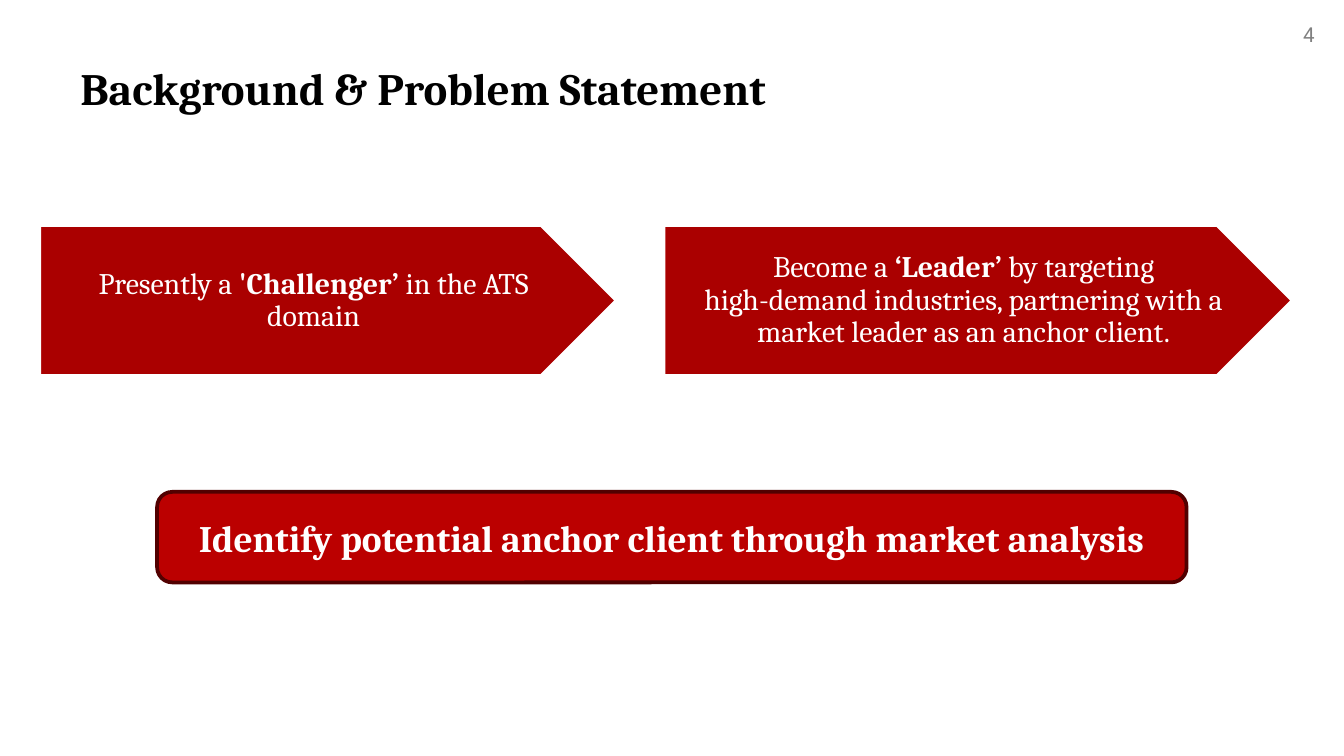
import pptx
import pptx.dml.color
import pptx.enum.shapes
import pptx.enum.text
import pptx.util

Pt = pptx.util.Pt
RGBColor = pptx.dml.color.RGBColor
MSO_SHAPE = pptx.enum.shapes.MSO_SHAPE
MSO_ANCHOR = pptx.enum.text.MSO_ANCHOR
PP_ALIGN = pptx.enum.text.PP_ALIGN

BLACK = RGBColor(0x00, 0x00, 0x00)
WHITE = RGBColor(0xFF, 0xFF, 0xFF)
GRAY = RGBColor(0x80, 0x80, 0x80)
ARROW_RED = RGBColor(0xAA, 0x00, 0x00)
GOAL_RED = RGBColor(0xBB, 0x00, 0x00)
GOAL_BORDER = RGBColor(0x52, 0x00, 0x00)

SERIF = "Cambria"
SANS = "Roboto"
LINE_BREAK = "\n"


def style_paragraph(paragraph, font_name, size, color, align, bold=None):
    paragraph.alignment = align
    paragraph.font.name = font_name
    paragraph.font.size = Pt(size)
    paragraph.font.color.rgb = color
    paragraph.font.bold = bold


def add_label(slide, box, text, font_name, size, color, align, bold=False):
    label = slide.shapes.add_textbox(*map(Pt, box))
    frame = label.text_frame
    frame.word_wrap = True
    frame.text = text
    style_paragraph(frame.paragraphs[0], font_name, size, color, align, bold)


def add_panel(slide, preset, box, fill, border):
    panel = slide.shapes.add_shape(preset, *map(Pt, box))
    panel.shadow.inherit = False
    panel.fill.solid()
    panel.fill.fore_color.rgb = fill
    panel.line.color.rgb = border
    panel.line.width = Pt(2)
    frame = panel.text_frame
    frame.word_wrap = True
    frame.vertical_anchor = MSO_ANCHOR.MIDDLE
    return frame


def add_stage_arrow(slide, left, width, phrases):
    frame = add_panel(slide, MSO_SHAPE.PENTAGON, (left, 120.5, width, 81), ARROW_RED, WHITE)
    frame.margin_left = Pt(6.4)
    frame.margin_right = Pt(1.6)
    stage = frame.paragraphs[0]
    style_paragraph(stage, SERIF, 16, WHITE, PP_ALIGN.CENTER)
    stage.line_spacing = 0.9
    for phrase, bold in phrases:
        if phrase == LINE_BREAK:
            stage.add_line_break()
            continue
        run = stage.add_run()
        run.text = phrase
        run.font.bold = bold


def add_goal(slide, box, text):
    frame = add_panel(slide, MSO_SHAPE.ROUNDED_RECTANGLE, box, GOAL_RED, GOAL_BORDER)
    frame.text = text
    goal = frame.paragraphs[0]
    style_paragraph(goal, SERIF, 20, WHITE, PP_ALIGN.CENTER, True)
    goal.space_before = Pt(6)


def main():
    deck = pptx.Presentation()
    deck.slide_width = Pt(720)
    deck.slide_height = Pt(405)
    slide = deck.slides.add_slide(deck.slide_layouts[6])

    add_label(slide, (671.8, 8, 39.6, 21), "4", SANS, 11, GRAY, PP_ALIGN.RIGHT)
    add_label(slide, (36, 29, 648, 48), "Background & Problem Statement",
              SERIF, 24, BLACK, PP_ALIGN.LEFT, True)

    add_stage_arrow(slide, 21, 309.5, [
        ("Presently a ", False),
        ("'Challenger’ ", True),
        ("in the ATS domain", False),
    ])
    add_stage_arrow(slide, 355.5, 337, [
        ("Become a ", False),
        ("‘Leader’ ", True),
        ("by targeting", False),
        (LINE_BREAK, False),
        ("high-demand industries, partnering with a market leader as an anchor client.", False),
    ])

    add_goal(slide, (84.2, 263.5, 551.5, 48.5),
             "Identify potential anchor client through market analysis")

    deck.save("out.pptx")


if __name__ == "__main__":
    main()
